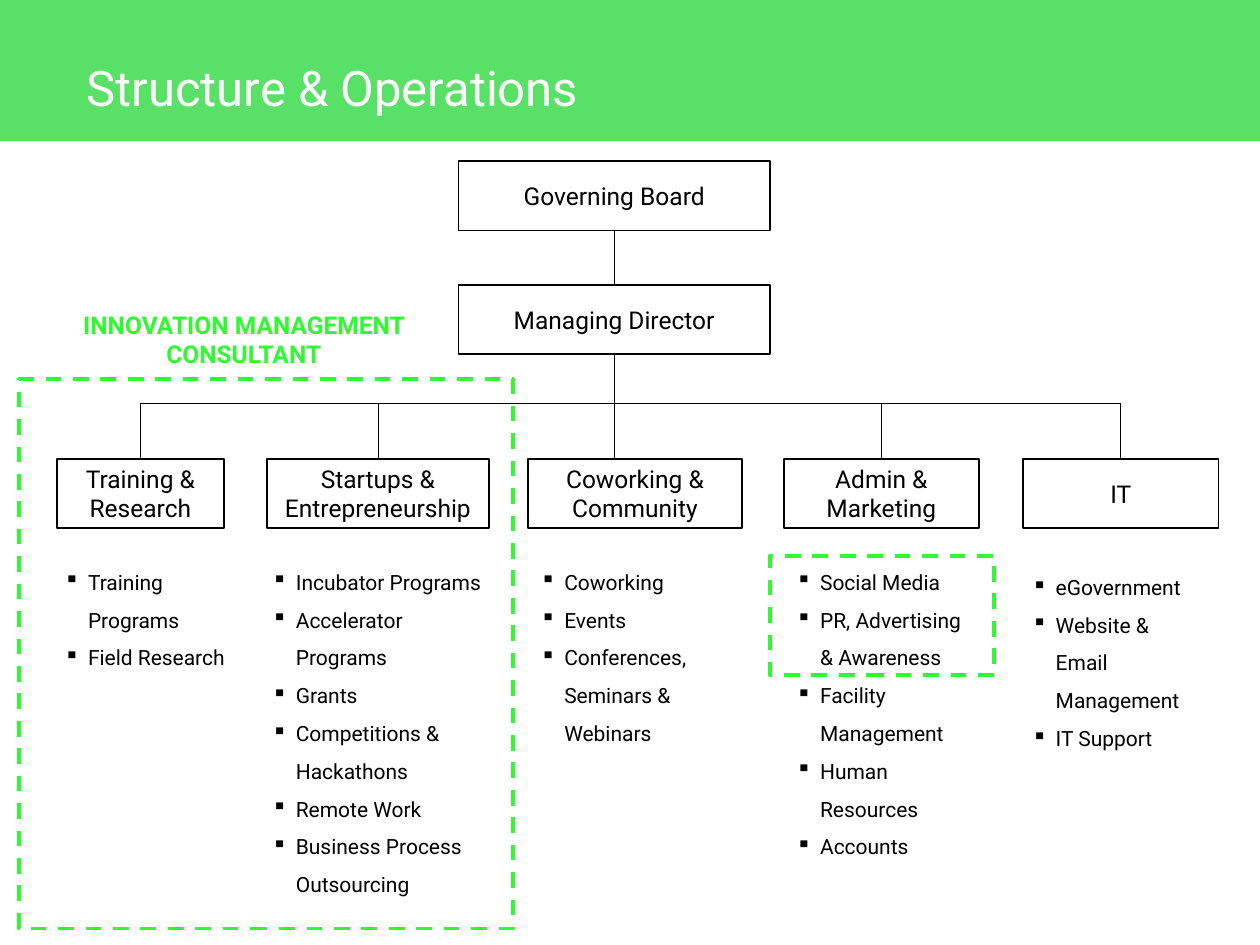
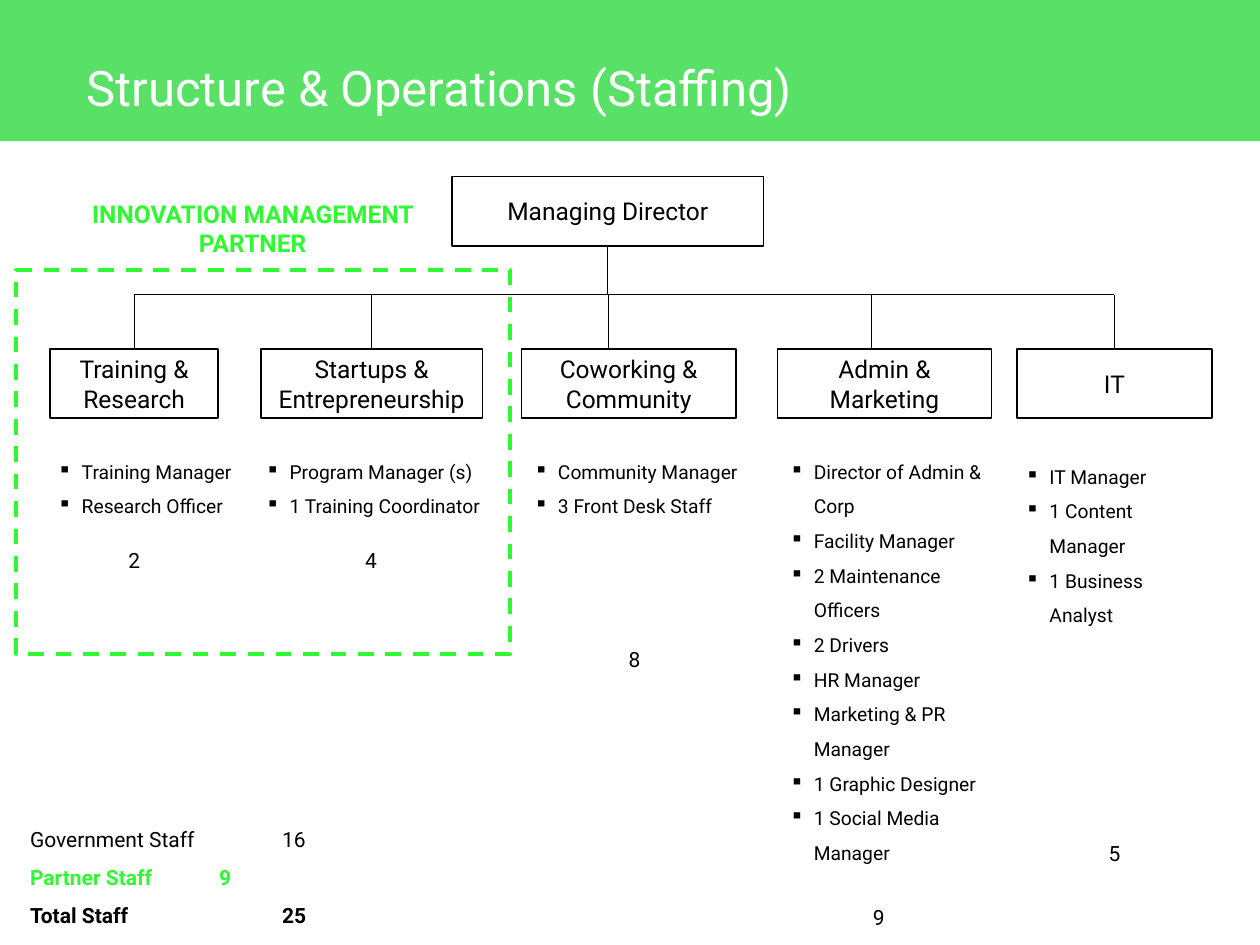
from dataclasses import dataclass, replace
from typing import NamedTuple

import pptx
import pptx.dml.color
import pptx.enum.dml
import pptx.enum.shapes
import pptx.enum.text
import pptx.oxml.ns
import pptx.util
from lxml import etree

Inches = pptx.util.Inches
Pt = pptx.util.Pt
ALIGN = pptx.enum.text.PP_ALIGN
RECT = pptx.enum.shapes.MSO_SHAPE.RECTANGLE
TOP, BOTTOM = 0, 2


@dataclass(frozen=True)
class Theme:
    font: str = "Roboto"
    band: str = "58E166"
    accent: str = "2FF931"
    ink: str = "000000"
    paper: str = "FFFFFF"
    title_size: float = 28
    box_size: float = 14
    body_size: float = 12
    staff_size: float = 11
    box_line: float = 1
    link_line: float = 0.5
    frame_line: float = 2.25
    box_height: float = 0.55
    indent: float = 0.19
    list_spacing: float = 1.5


THEME = Theme()


class Area(NamedTuple):
    left: float
    top: float
    width: float
    height: float

    def lengths(self) -> list:
        return [Inches(v) for v in self]


@dataclass(frozen=True)
class Unit:
    """A department: its box, the line above it and the list below it."""
    name: str
    left: float
    width: float
    line_x: float
    list_left: float
    list_width: float
    items: tuple[str, ...]
    list_drop: float = 0


class Headcount(NamedTuple):
    count: str
    left: float
    top: float


class StaffTotal(NamedTuple):
    label: str
    count: str
    tab: float
    color: str
    bold: bool


# ---- Drawing helpers ----
def rgb(color: str):
    return pptx.dml.color.RGBColor.from_string(color)


def format_paragraph(p, size: float, color: str = THEME.ink, bold: bool = False,
                     align=None, spacing: float | None = None) -> None:
    p.alignment = align
    p.line_spacing = spacing
    for r in p.runs:
        r.font.name = THEME.font
        r.font.size = Pt(size)
        r.font.bold = bold
        r.font.color.rgb = rgb(color)


def add_bullet(p) -> None:
    pPr = p._p.get_or_add_pPr()
    pPr.set("marL", str(Inches(THEME.indent)))
    pPr.set("indent", str(-Inches(THEME.indent)))
    etree.SubElement(pPr, pptx.oxml.ns.qn("a:buChar"), char="▪")


def add_tab(p, position: float) -> None:
    tabs = etree.SubElement(p._p.get_or_add_pPr(), pptx.oxml.ns.qn("a:tabLst"))
    etree.SubElement(tabs, pptx.oxml.ns.qn("a:tab"), pos=str(Inches(position)), algn="l")


def add_text(s, area: Area, text: str):
    tf = s.shapes.add_textbox(*area.lengths()).text_frame
    tf.word_wrap = True
    tf.auto_size = pptx.enum.text.MSO_AUTO_SIZE.SHAPE_TO_FIT_TEXT
    tf.text = text
    return tf


def add_rect(s, area: Area, fill: str | None = None, line: str | None = None,
             weight: float = 0):
    sp = s.shapes.add_shape(RECT, *area.lengths())
    sp.shadow.inherit = False
    if fill:
        sp.fill.solid()
        sp.fill.fore_color.rgb = rgb(fill)
    else:
        sp.fill.background()
    if line:
        sp.line.color.rgb = rgb(line)
        sp.line.width = Pt(weight)
    else:
        sp.line.fill.background()
    return sp


def add_box(s, name: str, left: float, top: float, width: float):
    sp = add_rect(s, Area(left, top, width, THEME.box_height),
                  THEME.paper, THEME.ink, THEME.box_line)
    tf = sp.text_frame
    tf.word_wrap = True
    tf.vertical_anchor = pptx.enum.text.MSO_ANCHOR.MIDDLE
    tf.text = name
    format_paragraph(tf.paragraphs[0], THEME.box_size, align=ALIGN.CENTER)
    return sp


def add_frame(s, area: Area) -> None:
    sp = add_rect(s, area, line=THEME.accent, weight=THEME.frame_line)
    sp.line.dash_style = pptx.enum.dml.MSO_LINE.DASH


def add_link(s, x1: float, y1: float, x2: float, y2: float, above=None, below=None) -> None:
    line = s.shapes.add_connector(pptx.enum.shapes.MSO_CONNECTOR.STRAIGHT,
                                  Inches(x1), Inches(y1), Inches(x2), Inches(y2))
    line.line.color.rgb = rgb(THEME.ink)
    line.line.width = Pt(THEME.link_line)
    etree.SubElement(line._element.spPr, pptx.oxml.ns.qn("a:effectLst"))
    if above is not None:
        line.begin_connect(above, BOTTOM)
    if below is not None:
        line.end_connect(below, TOP)


def add_list(s, area: Area, items: tuple[str, ...], size: float) -> None:
    tf = add_text(s, area, "\n".join(items))
    for p in tf.paragraphs:
        add_bullet(p)
        format_paragraph(p, size, spacing=THEME.list_spacing)


# ---- Parts both slides share ----
def add_titled_slide(prs, title: str):
    s = prs.slides.add_slide(prs.slide_layouts[6])
    add_rect(s, Area(0, 0, 10, 1.12), THEME.band)
    tf = add_text(s, Area(0.59, 0.41, 8, 0.57), title)
    format_paragraph(tf.paragraphs[0], THEME.title_size, THEME.paper)
    return s


def add_departments(s, director, units: list[Unit], rail_y: float, box_y: float,
                    list_y: float, size: float) -> None:
    centre = (director.left + director.width / 2) / Inches(1)
    bottom = (director.top + director.height) / Inches(1)
    add_link(s, centre, bottom, centre, rail_y, above=director)
    drops = []
    for unit in units:
        box = add_box(s, unit.name, unit.left, box_y, unit.width)
        middle = unit.left + unit.width / 2
        joined = abs(middle - unit.line_x) < 0.03
        x = middle if joined else unit.line_x
        add_link(s, x, rail_y, x, box_y, below=box if joined else None)
        drops.append(x)
        add_list(s, Area(unit.list_left, list_y + unit.list_drop, unit.list_width, 1),
                 unit.items, size)
    add_link(s, drops[0], rail_y, drops[-1], rail_y)


def add_outside_role(s, label: str, area: Area, frame: Area) -> None:
    add_frame(s, frame)
    tf = add_text(s, area, label)
    format_paragraph(tf.paragraphs[0], THEME.box_size, THEME.accent, True, ALIGN.CENTER)


# ---- Content ----
OPERATIONS = [
    Unit("Training & Research", 0.45, 1.33, 1.1, 0.41, 1.61,
         ("Training Programs", "Field Research")),
    Unit("Startups & Entrepreneurship", 2.12, 1.76, 2.99, 2.06, 1.87,
         ("Incubator Programs", "Accelerator Programs", "Grants",
          "Competitions & Hackathons", "Remote Work", "Business Process Outsourcing")),
    Unit("Coworking & Community", 4.19, 1.7, 4.88, 4.19, 1.87,
         ("Coworking", "Events", "Conferences, Seminars & Webinars")),
    Unit("Admin & Marketing", 6.22, 1.55, 6.97, 6.22, 1.55,
         ("Social Media", "PR, Advertising & Awareness", "Facility Management",
          "Human Resources", "Accounts")),
    Unit("IT", 8.12, 1.55, 8.88, 8.09, 1.58,
         ("eGovernment", "Website & Email Management", "IT Support"), 0.04),
]

# Box width, list width and staff of each department
STAFFING = [
    (1.33, 1.61, ("Training Manager", "Research Officer")),
    (1.76, 1.97, ("Program Manager (s)", "1 Training Coordinator")),
    (1.7, 1.87, ("Community Manager", "3 Front Desk Staff")),
    (1.7, 1.75, ("Director of Admin & Corp", "Facility Manager", "2 Maintenance Officers",
                 "2 Drivers", "HR Manager", "Marketing & PR Manager",
                 "1 Graphic Designer", "1 Social Media Manager")),
    (1.55, 1.58, ("IT Manager", "1 Content Manager", "1 Business Analyst")),
]
STAFFING_SHIFT = 0.05

HEADCOUNTS = [
    Headcount("2", 0.26, 4.2),
    Headcount("4", 2.14, 4.2),
    Headcount("8", 4.23, 4.98),
    Headcount("9", 6.17, 7.03),
    Headcount("5", 8.04, 6.52),
]

TOTALS = [
    StaffTotal("Government Staff", "16", 2, THEME.ink, False),
    StaffTotal("Partner Staff", "9", 1.5, THEME.accent, True),
    StaffTotal("Total Staff", "25", 2, THEME.ink, True),
]


# ---- Slides ----
def build_operations(prs) -> None:
    s = add_titled_slide(prs, "Structure & Operations")
    board = add_box(s, "Governing Board", 3.64, 1.28, 2.47)
    director = add_box(s, "Managing Director", 3.64, 2.26, 2.47)
    add_link(s, 4.88, 1.83, 4.88, 2.26, board, director)
    add_departments(s, director, OPERATIONS, 3.2, 3.64, 4.37, THEME.body_size)
    add_outside_role(s, "INNOVATION MANAGEMENT CONSULTANT",
                     Area(0.39, 2.41, 3.09, 0.57), Area(0.15, 3.01, 3.92, 4.36))
    add_frame(s, Area(6.11, 4.41, 1.78, 0.95))


def build_staffing(prs) -> None:
    s = add_titled_slide(prs, "Structure & Operations (Staffing)")
    director = add_box(s, "Managing Director", 3.59, 1.4, 2.47)
    units = [replace(unit, left=unit.left - STAFFING_SHIFT, width=width,
                     line_x=unit.line_x - STAFFING_SHIFT,
                     list_left=unit.list_left - STAFFING_SHIFT,
                     list_width=list_width, items=staff)
             for unit, (width, list_width, staff) in zip(OPERATIONS, STAFFING)]
    add_departments(s, director, units, 2.34, 2.77, 3.51, THEME.staff_size)

    # Headcount of each department
    for head in HEADCOUNTS:
        tf = add_text(s, Area(head.left, head.top, 1.61, 0.38), head.count)
        format_paragraph(tf.paragraphs[0], THEME.body_size, align=ALIGN.CENTER,
                         spacing=THEME.list_spacing)

    # Staff totals
    tf = add_text(s, Area(0.14, 6.41, 3.18, 0.98),
                  "\n".join(f"{total.label}\t{total.count}" for total in TOTALS))
    for p, total in zip(tf.paragraphs, TOTALS):
        add_tab(p, total.tab)
        format_paragraph(p, THEME.body_size, total.color, total.bold,
                         spacing=THEME.list_spacing)

    add_outside_role(s, "INNOVATION MANAGEMENT PARTNER",
                     Area(0.46, 1.53, 3.09, 0.57), Area(0.13, 2.14, 3.92, 3.05))


def main() -> None:
    prs = pptx.Presentation()
    prs.slide_width = Inches(10)
    prs.slide_height = Inches(7.5)
    build_operations(prs)
    build_staffing(prs)
    prs.save("out.pptx")


if __name__ == "__main__":
    main()
